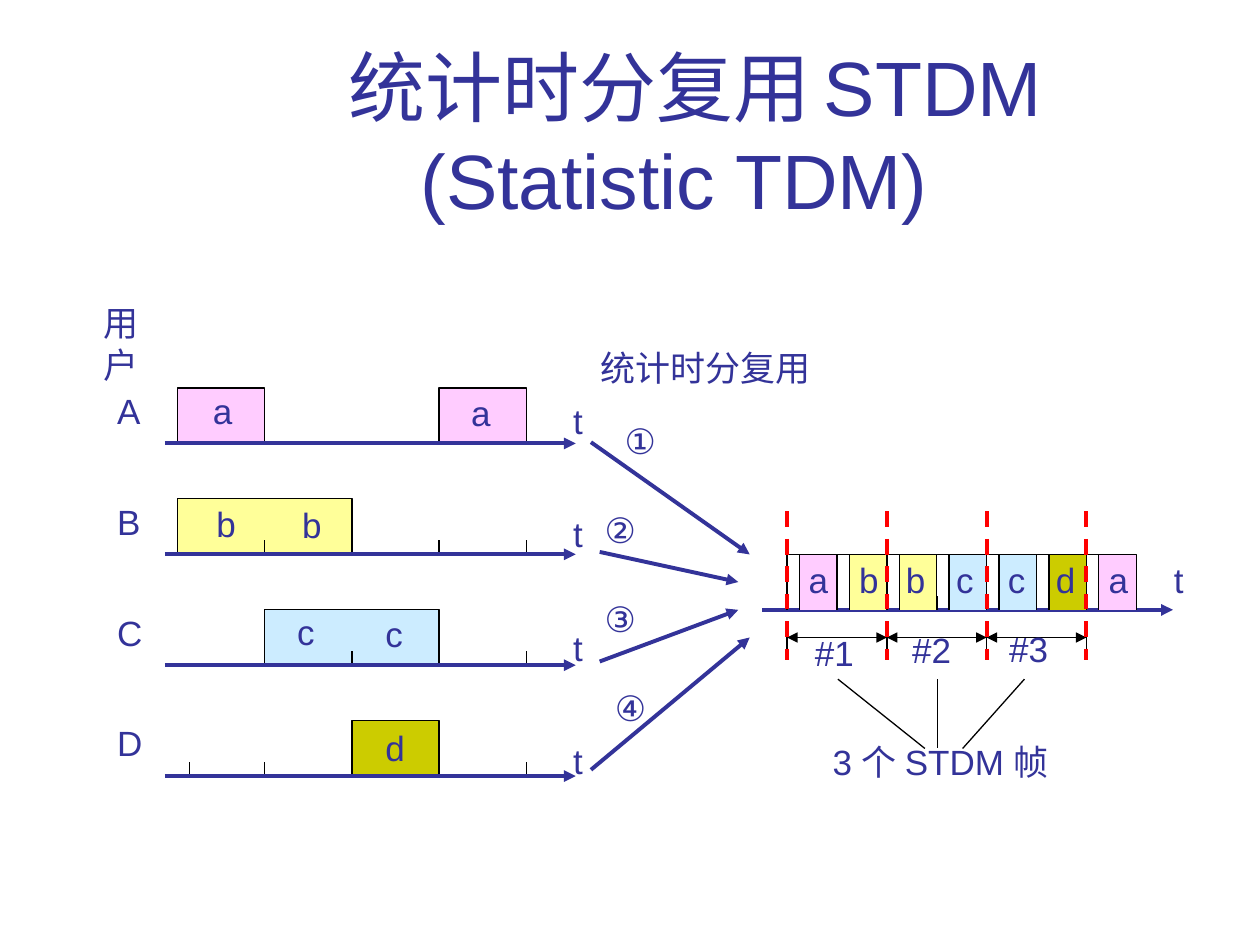
from dataclasses import dataclass, field

from lxml.etree import SubElement
from pptx import Presentation
from pptx.dml.color import RGBColor
from pptx.enum.dml import MSO_LINE
from pptx.enum.shapes import MSO_CONNECTOR as Connector
from pptx.enum.text import MSO_ANCHOR as Anchor, PP_ALIGN as Align
from pptx.oxml.ns import qn
from pptx.util import Pt

COLORS = {"ink": "333399", "black": "000000", "red": "FF0000",
          "a": "FFCCFF", "b": "FFFF99", "c": "CCECFF", "d": "CCCC00"}
WIDTHS = {"a": 25.2, "b": 25.2, "c": 24.5, "d": 25.2, "t": 19.4}
SLOT_LEFT, SLOT = 101.5, 49.8
ROW_BASE, ROW_STEP = 253.4, 63.36
BLOCK_HEIGHT, TICK = 31.7, 7.9
FRAME_LEFT, CELL_STEP, GAP, FRAME_BASE = 449.8, 28.5, 7.1, 348.5


def color(name):
    """Return the palette colour with the given name."""
    return RGBColor.from_string(COLORS[name])


def write(paragraph, text, size=20, font="Arial", ink="ink", align=Align.LEFT):
    """Append a formatted run to a paragraph."""
    paragraph.alignment = align
    run = paragraph.add_run()
    run.text = text
    run.font.size = Pt(size)
    run.font.name = font
    run.font.color.rgb = color(ink)


@dataclass
class Canvas:
    """Draw styled elements on the current slide."""

    slide: object
    thin: float = 0.75
    thick: float = 2.25
    title_size: int = 44
    label_height: float = 31.7
    arrow: dict = field(default_factory=lambda: {"ink": "ink", "width": 2.25, "ends": ("tailEnd",)})

    def title(self, left, top, width, height, indent):
        """Write the two centred title lines, the first one indented."""
        frame = self.slide.shapes.add_textbox(Pt(left), Pt(top), Pt(width), Pt(height)).text_frame
        frame.word_wrap = True
        frame.vertical_anchor = Anchor.BOTTOM
        first, second = frame.paragraphs[0], frame.add_paragraph()
        style = {"size": self.title_size, "align": Align.CENTER}
        write(first, "统计时分复用", **style)
        write(first, " ", size=32, align=Align.CENTER)
        write(first, "STDM", **style)
        write(second, "(Statistic TDM)", **style)
        first._p.get_or_add_pPr().set("marL", str(Pt(indent)))

    def label(self, text, left, top, width=None):
        """Write a one-line label."""
        width = width or WIDTHS[text]
        shape = self.slide.shapes.add_textbox(Pt(left), Pt(top), Pt(width), Pt(self.label_height))
        shape.text_frame.word_wrap = False
        write(shape.text_frame.paragraphs[0], text)

    def block(self, left, base, width, fill=None):
        """Draw a time slot outlined on three sides above its axis."""
        top, right = base - BLOCK_HEIGHT, left + width
        builder = self.slide.shapes.build_freeform(Pt(left), Pt(base))
        corners = [(left, top), (right, top), (right, base)]
        builder.add_line_segments([(Pt(x), Pt(y)) for x, y in corners], close=False)
        shape = builder.convert_to_shape()
        shape.shadow.inherit = False
        shape.line.color.rgb = color("black")
        shape.line.width = Pt(self.thin)
        if fill:
            shape.fill.solid()
            shape.fill.fore_color.rgb = color(fill)
        else:
            shape.fill.background()

    def line(self, x1, y1, x2, y2, ink="black", width=None, ends=(), dash=None):
        """Draw a straight line with optional arrowheads."""
        shape = self.slide.shapes.add_connector(Connector.STRAIGHT, Pt(x1), Pt(y1), Pt(x2), Pt(y2))
        shape.line.color.rgb = color(ink)
        shape.line.width = Pt(width or self.thin)
        if dash:
            shape.line.dash_style = dash
        properties = shape._element.spPr
        for end in ends:
            SubElement(properties.find(qn("a:ln")), qn(f"a:{end}"), type="triangle")
        SubElement(properties, qn("a:effectLst"))

    def tick(self, x, base):
        """Draw a tick standing on an axis."""
        self.line(x, base - TICK, x, base)


def draw_users(canvas):
    """Draw the four user time lines."""
    users = [
        ("A", 59.8, 27.4, 224.6, [("a", 0, 1), ("a", 3, 1)], [4]),
        ("B", 59.8, 27.4, 289.4, [("b", 0, 2)], [1, 3, 4]),
        ("C", 59.8, 28.8, 354.2, [("c", 1, 2)], [2, 4]),
        ("D", 59.8, 28.8, 419.0, [("d", 2, 1)], [0.14, 1, 4]),
    ]
    canvas.label("用户", 51.8, 168.5, 54)
    for row, (name, left, width, t_top, blocks, ticks) in enumerate(users):
        base = ROW_BASE + row * ROW_STEP
        canvas.label(name, left, base - 34.5, width)
        for kind, start, count in blocks:
            canvas.block(SLOT_LEFT + start * SLOT, base, count * SLOT, kind)
        for position in ticks:
            canvas.tick(SLOT_LEFT + position * SLOT, base)
        canvas.label("t", 320.4, t_top)
        canvas.line(94.3, base, 329, base, **canvas.arrow)
    for letter, left, top in [("a", 114.5, 218.9), ("a", 262.1, 220.3), ("b", 116.6, 283.7),
                              ("b", 165.6, 284.4), ("c", 162.7, 345.6), ("c", 213.1, 346.3),
                              ("d", 213.1, 411.8)]:
        canvas.label(letter, left, top)


def draw_inputs(canvas):
    """Draw the numbered arrows into the multiplexer."""
    canvas.label("统计时分复用", 336.2, 194.4, 134.6)
    inputs = [("①", 349.9, 236.2, (337.7, 252.7, 428.4, 316.8)),
              ("②", 338.4, 287.3, (342.7, 315.4, 421.9, 332.6)),
              ("③", 338.4, 337.7, (342.7, 378, 421.9, 348.5)),
              ("④", 344.2, 388.8, (337.7, 439.9, 428.4, 364.3))]
    for number, left, top, ends in inputs:
        canvas.line(*ends, **canvas.arrow)
        canvas.label(number, left, top, 32.4)


def draw_frames(canvas):
    """Draw the multiplexed line and its three frames."""
    letter_lefts = [455, 483.8, 510.5, 539.3, 568.8, 596.2, 626.4]
    canvas.line(435.6, FRAME_BASE, 670.3, FRAME_BASE, **canvas.arrow)
    for index, (kind, letter_left) in enumerate(zip("abbccda", letter_lefts)):
        left = FRAME_LEFT + index * CELL_STEP
        canvas.block(left, FRAME_BASE, GAP)
        canvas.block(left + GAP, FRAME_BASE, CELL_STEP - GAP, kind)
        canvas.label(kind, letter_left, 315.4)
    canvas.label("t", 663.8, 315.4)
    for x in (514.1, 535.5, 620.8):
        canvas.tick(x, FRAME_BASE)

    borders = [FRAME_LEFT + index * 2 * CELL_STEP for index in range(4)]
    for left, right in zip(borders, borders[1:]):
        canvas.line(left, 364.3, right, 364.3, ends=("headEnd", "tailEnd"))
    for x in borders:
        canvas.line(x, 356.4, x, 372.2)
        canvas.line(x, 292.3, x, 377.3, ink="red", width=canvas.thick, dash=MSO_LINE.DASH)
    frames = [("#1", 458.6, 357.1, 478.8, 528.5), ("#2", 514.1, 355.7, 535.7, 535.7),
              ("#3", 569.5, 355, 585.4, 550.1)]
    for name, left, top, start, end in frames:
        canvas.label(name, left, top, 36.7)
        canvas.line(start, 388.1, end, 427.7)
    canvas.label("3 个 STDM 帧", 468.7, 419.8, 157.7)


def main():
    """Build and save the presentation."""
    presentation = Presentation()
    presentation.slide_width, presentation.slide_height = Pt(720), Pt(540)
    canvas = Canvas(presentation.slides.add_slide(presentation.slide_layouts[6]))
    canvas.title(90.7, 16.6, 589.4, 115.2, indent=24)
    draw_users(canvas)
    draw_inputs(canvas)
    draw_frames(canvas)
    presentation.save("out.pptx")


if __name__ == "__main__":
    main()
